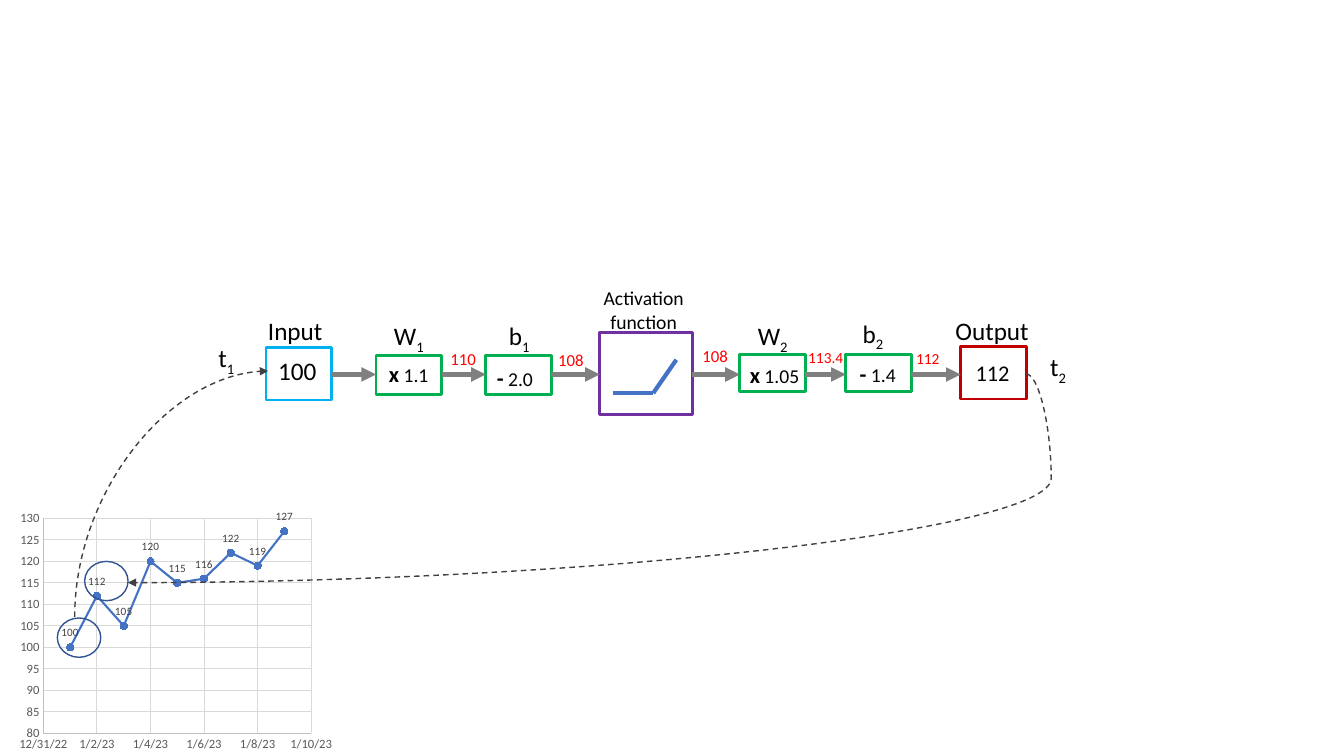
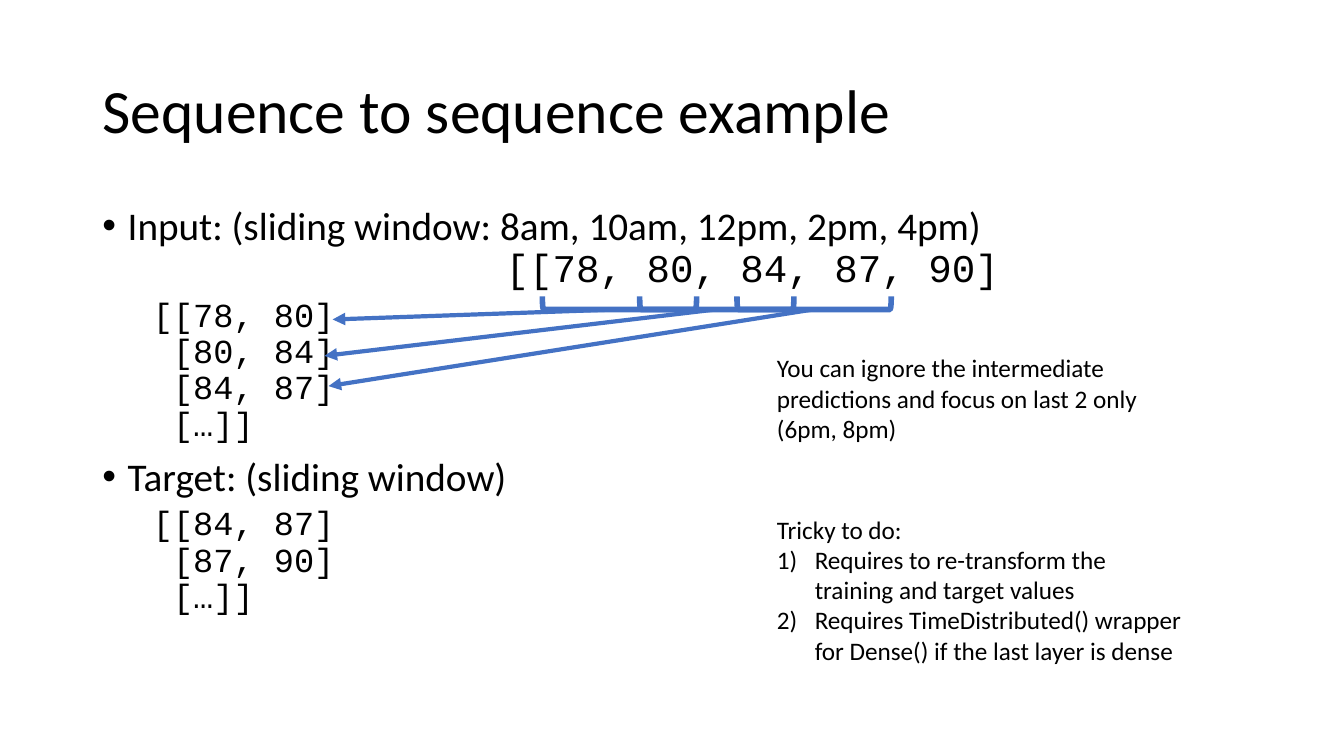
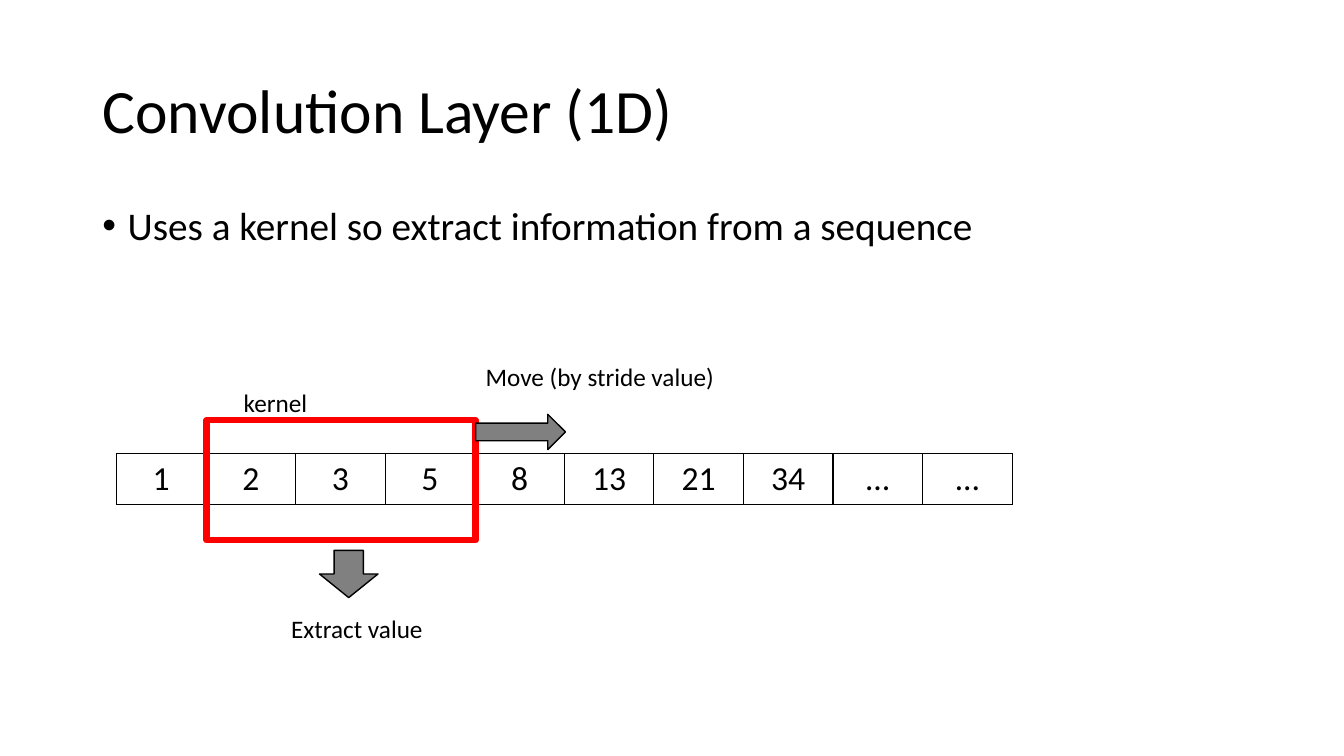
from lxml import etree
from pptx import Presentation
from pptx.chart.data import XyChartData
from pptx.chart.datalabel import DataLabels
from pptx.dml.color import RGBColor
from pptx.enum.chart import (XL_AXIS_CROSSES, XL_CHART_TYPE, XL_LABEL_POSITION,
                             XL_MARKER_STYLE, XL_TICK_MARK)
from pptx.enum.dml import MSO_LINE
from pptx.enum.shapes import MSO_CONNECTOR, MSO_SHAPE
from pptx.enum.text import MSO_ANCHOR, MSO_AUTO_SIZE, PP_ALIGN
from pptx.oxml.ns import qn
from pptx.util import Pt

RECT, OVAL = MSO_SHAPE.RECTANGLE, MSO_SHAPE.OVAL
BRACKET = MSO_SHAPE.RIGHT_BRACKET
RIGHT, DOWN = MSO_SHAPE.RIGHT_ARROW, MSO_SHAPE.DOWN_ARROW
LINE, CURVE = MSO_CONNECTOR.STRAIGHT, MSO_CONNECTOR.CURVE
LEFT, CENTER = PP_ALIGN.LEFT, PP_ALIGN.CENTER
MIDDLE = MSO_ANCHOR.MIDDLE
FIXED, GROW = MSO_AUTO_SIZE.NONE, MSO_AUTO_SIZE.SHAPE_TO_FIT_TEXT
DASH = MSO_LINE.DASH
SCATTER = XL_CHART_TYPE.XY_SCATTER_LINES
LOWEST, NO_TICK = XL_AXIS_CROSSES.MINIMUM, XL_TICK_MARK.NONE
DOT, ABOVE = XL_MARKER_STYLE.CIRCLE, XL_LABEL_POSITION.ABOVE

SANS, MONO = "Calibri", "Courier New"
HEX = {
    "black": "000000", "blue": "4472C4", "navy": "325491", "sky": "00B0F0",
    "green": "00B050", "plum": "7030A0", "brick": "C00000", "red": "FF0000",
    "gray": "808080", "dark": "404040", "tick": "595959", "axis": "BFBFBF",
    "grid": "D9D9D9",
}
TITLE_AT = (66, 28.8, 828, 104.4)
BODY_AT = (66, 144, 828, 342.7)


def rgb(name):
    """Return the named colour."""
    return RGBColor.from_string(HEX[name])


def style(font, size, color="black", face=SANS):
    """Set size, colour and typeface of a font."""
    font.size, font.name = Pt(size), face
    font.color.rgb = rgb(color)


def stroke(line, color, width):
    """Set colour and width of a line."""
    line.color.rgb = rgb(color)
    line.width = Pt(width)


def place(shape, at):
    """Move a shape to left, top, width, height."""
    shape.left, shape.top, shape.width, shape.height = map(Pt, at)


def bullet(para, left, hang, tag, **attrs):
    """Set the indents of a styled paragraph and its bullet."""
    props = para._p.get_or_add_pPr()
    props.set("marL", str(Pt(left)))
    props.set("indent", str(Pt(-hang)))
    mark = etree.Element(qn(tag), attrs)
    props.find(qn("a:defRPr")).addprevious(mark)


def shape(slide, kind, at, color, width, fill=None):
    """Add an outlined preset shape."""
    item = slide.shapes.add_shape(kind, *map(Pt, at))
    item.shadow.inherit = False
    stroke(item.line, color, width)
    if fill:
        item.fill.solid()
        item.fill.fore_color.rgb = rgb(fill)
    else:
        item.fill.background()
    return item


def link(slide, start, end, color, width, kind=LINE, head=True):
    """Add a connector, with an arrowhead at its end unless told not to."""
    item = slide.shapes.add_connector(kind, *map(Pt, start + end))
    stroke(item.line, color, width)
    props = item._element.spPr
    if head:
        etree.SubElement(props.find(qn("a:ln")), qn("a:tailEnd"),
                         type="triangle")
    etree.SubElement(props, qn("a:effectLst"))
    return item


def label(slide, at, lines, size=18, color="black", wrap=False, align=LEFT):
    """Add a text box with one paragraph a line; return the paragraphs."""
    frame = slide.shapes.add_textbox(*map(Pt, at)).text_frame
    frame.word_wrap = wrap
    frame.auto_size = GROW
    frame.text = "\n".join(lines)
    for para in frame.paragraphs:
        para.alignment = align
        style(para.font, size, color)
    return frame.paragraphs


def symbol(slide, left, top, width, base, index):
    """Add a symbol with a subscript."""
    para = label(slide, (left, top, width, 28.8), [base])[0]
    run = para.add_run()
    run.text = index
    run._r.get_or_add_rPr().set("baseline", "-25000")


def factor(slide, left, top, width, sign, value):
    """Add a bold sign followed by its value."""
    para = label(slide, (left, top, width, 26.6), [sign], 14, wrap=True)[0]
    para.runs[0].font.bold = True
    para.runs[0].font.size = Pt(16)
    para.add_run().text = " " + value


def page(deck, title):
    """Add a slide with a title; return it and its body frame."""
    slide = deck.slides.add_slide(deck.slide_layouts[1])
    head, body = slide.placeholders
    place(head, TITLE_AT)
    place(body, BODY_AT)
    for item in (head, body):
        item.text_frame.word_wrap = True
        item.text_frame.auto_size = FIXED
    head.text_frame.text = title
    head.text_frame.vertical_anchor = MIDDLE
    para = head.text_frame.paragraphs[0]
    para.alignment, para.line_spacing = LEFT, 0.9
    style(para.font, 44)
    return slide, body.text_frame


def entry(para, text, size=28, face=SANS, before=10):
    """Fill one paragraph of the body."""
    para.text = text
    para.line_spacing, para.space_before = 0.9, Pt(before)
    style(para.font, size, face=face)


def point(para, text):
    """Write a bulleted line."""
    entry(para, text)
    bullet(para, 18, 18, "a:buChar", char="•")


def code(para, text, left=36, size=24, before=5):
    """Write code lines without a bullet."""
    entry(para, text, size, MONO, before)
    bullet(para, left, 0, "a:buNone")


def scale(axis, low, high, step, form):
    """Set range, ticks and lines of a chart axis."""
    axis.minimum_scale, axis.maximum_scale, axis.major_unit = low, high, step
    axis.major_tick_mark = axis.minor_tick_mark = NO_TICK
    axis.crosses = LOWEST
    axis.has_major_gridlines = True
    stroke(axis.major_gridlines.format.line, "grid", 0.75)
    stroke(axis.format.line, "axis", 0.75)
    labels = axis.tick_labels
    labels.number_format, labels.number_format_is_linked = form, False
    style(labels.font, 9, "tick")


def inset(chart, **parts):
    """Fix the inner plot area as fractions of the chart."""
    area = chart._chartSpace.chart.plotArea
    for old in area.findall(qn("c:layout")):
        area.remove(old)
    layout = etree.Element(qn("c:layout"))
    area.insert(0, layout)
    manual = etree.SubElement(layout, qn("c:manualLayout"))
    pairs = {"layoutTarget": "inner", "xMode": "edge", "yMode": "edge", **parts}
    for tag, val in pairs.items():
        etree.SubElement(manual, qn("c:" + tag), val=str(val))


def trend(slide):
    """Add the chart of daily values."""
    first = 44927  # serial number of 1/1/23
    data = XyChartData()
    days = data.add_series("Series 1")
    for day, val in enumerate([100, 112, 105, 120, 115, 116, 122, 119, 127]):
        days.add_data_point(first + day, val)
    at = map(Pt, (10, 361.4, 233.3, 178.6))
    chart = slide.shapes.add_chart(SCATTER, *at, data).chart
    chart.has_title = chart.has_legend = False
    style(chart.font, 10)
    scale(chart.category_axis, first - 1, first + 9, 2, "m/d/yy")
    scale(chart.value_axis, 80, 130, 5, "0")
    inset(chart, x=0.09, y=0.05, w=0.82, h=0.86)
    plot = chart.plots[0]
    plot.vary_by_categories = False
    line = plot.series[0]
    stroke(line.format.line, "blue", 1.5)
    mark = line.marker
    mark.style, mark.size = DOT, 5
    mark.format.fill.solid()
    mark.format.fill.fore_color.rgb = rgb("blue")
    stroke(mark.format.line, "blue", 0.75)
    tags = DataLabels(line._element.get_or_add_dLbls())
    tags.show_value, tags.position = True, ABOVE
    style(tags.font, 8, "dark")


def loops(slide):
    """Add the dashed curves between the chart and the network."""
    rise = link(slide, (210.2, 421.9), (34.6, 283.7), "dark", 1, CURVE)
    rise._element.spPr.find(qn("a:xfrm")).set("rot", "5400000")
    rise._element.spPr.find(qn("a:prstGeom")).set("prst", "curvedConnector2")
    back = link(slide, (733, 267.1), (91.4, 416.2), "dark", 1, CURVE)
    geom = back._element.spPr.find(qn("a:prstGeom"))
    guides = geom.find(qn("a:avLst"))
    if guides is None:
        guides = etree.SubElement(geom, qn("a:avLst"))
    etree.SubElement(guides, qn("a:gd"), name="adj1", fmla="val -2800")
    for item in (rise, back):
        item.line.dash_style = DASH


def network(deck):
    """Build the slide that follows a value through the network."""
    slide = deck.slides.add_slide(deck.slide_layouts[6])
    trend(slide)
    boxes = [
        (190, 248.4, 46.8, 37.4, "sky"),
        (268.6, 254.2, 46.8, 27.4, "green"),
        (347, 254.2, 46.8, 27.4, "green"),
        (428.4, 237.6, 66.2, 58.3, "plum"),
        (528.5, 253.4, 46.8, 26.6, "green"),
        (604.1, 253.4, 46.8, 26.6, "green"),
        (686.2, 247.7, 46.8, 37.4, "brick"),
    ]
    for *at, color in boxes:
        shape(slide, RECT, at, color, 2)
    for one, two in zip(boxes, boxes[1:]):
        link(slide, (one[0] + one[2], 267.5), (two[0], 267.5), "gray", 3.5)
    for start in ((437.8, 280.8), (483.1, 257)):
        link(slide, start, (466.6, 280.8), "blue", 3, head=False)
    for spot in [
        (274.3, 225.4, 36.7, "W", "1"), (356.4, 225.4, 30.2, "b", "1"),
        (534.2, 225.4, 36.7, "W", "2"), (609.1, 223.9, 30.2, "b", "2"),
        (149, 241.2, 26.6, "t", "1"), (743, 247.7, 26.6, "t", "2"),
    ]:
        symbol(slide, *spot)
    for spot in [
        (270.7, 253.4, 46.1, "x", "1.1"), (347.8, 256.3, 46.1, "-", "2.0"),
        (528.5, 254.2, 49.7, "x", "1.05"), (607, 253.4, 46.1, "-", "1.4"),
    ]:
        factor(slide, *spot)
    for left, top, width, text, size in [
        (314.6, 245.5, 33.1, "110", 12), (391.7, 246.2, 33.1, "108", 12),
        (494.6, 243.4, 33.1, "108", 12), (570.2, 244.8, 40.3, "113.4", 11),
        (647.3, 245.5, 31.7, "112", 11),
    ]:
        label(slide, (left, top, width, 21.6), [text], size, "red")
    label(slide, (184.3, 221.8, 54, 28.8), ["Input"])
    label(slide, (675.4, 221.8, 67.7, 28.8), ["Output"])
    label(slide, (191.5, 250.6, 44.6, 28.8), ["100"], wrap=True)
    label(slide, (689.8, 252.7, 38.9, 26.6), ["112"], 16)
    label(slide, (423.4, 200.9, 72.7, 41), ["Activation", "function"], 14,
          align=CENTER)
    loops(slide)
    for left, top in ((41, 441.4), (60.5, 401)):
        shape(slide, OVAL, (left, top, 31, 28.1), "navy", 1)


def sequence(deck):
    """Build the slide about sliding windows."""
    slide, body = page(deck, "Sequence to sequence example")
    point(body.paragraphs[0],
          "Input: (sliding window: 8am, 10am, 12pm, 2pm, 4pm)")
    code(body.add_paragraph(), "[[78, 80, 84, 87, 90]", 288, 28, 0)
    for text, head in [
        ("[[78, 80]\v [80, 84]\v [84, 87]\v […]]", "Target: (sliding window)"),
        ("[[84, 87]\v [87, 90]\v […]]", None),
    ]:
        para = body.add_paragraph()
        para.level = 1
        code(para, text)
        if head:
            point(body.add_paragraph(), head)
    label(slide, (547.9, 248.4, 304.6, 72.7),
          ["You can ignore the intermediate predictions and focus on last 2 "
           "only (6pm, 8pm)"], wrap=True)
    steps = label(slide, (547.9, 363.6, 304.6, 116.6), [
        "Tricky to do:",
        "Requires to re-transform the training and target values",
        "Requires TimeDistributed() wrapper for Dense() if the last layer "
        "is dense"], wrap=True)
    for para in steps[1:]:
        bullet(para, 27, 27, "a:buAutoNum", type="arabicParenR")
    ends = [(237.6, 228.2), (231.8, 254.2), (234.7, 275.8)]
    for num, end in enumerate(ends):
        left = 437.8 + 69.5 * num
        span = shape(slide, BRACKET, (left, 161.3, 9.4, 110.2), "blue", 4)
        span.rotation = 90
        link(slide, (left + 4.5, 221), end, "blue", 3)


def frame(cell):
    """Give a table cell black borders and no fill."""
    props = cell._tc.get_or_add_tcPr()
    for side in "LRTB":
        edge = etree.SubElement(props, qn("a:ln" + side), w=str(Pt(1)))
        fill = etree.SubElement(edge, qn("a:solidFill"))
        etree.SubElement(fill, qn("a:srgbClr"), val=HEX["black"])
    cell.fill.background()


def strip(slide, vals, at):
    """Add a one-row table of equal cells."""
    table = slide.shapes.add_table(1, len(vals), *map(Pt, at)).table
    table.first_row = table.horz_banding = False
    for cell, text in zip(table.rows[0].cells, vals):
        cell.text = text
        para = cell.text_frame.paragraphs[0]
        para.alignment = CENTER
        style(para.font, 24)
        frame(cell)


def kernel(deck):
    """Build the slide about the convolution kernel."""
    slide, body = page(deck, "Convolution Layer (1D)")
    point(body.paragraphs[0],
          "Uses a kernel so extract information from a sequence")
    vals = ["1", "2", "3", "5", "8", "13", "21", "34", "…", "…"]
    strip(slide, vals, (83.2, 324, 640, 36))
    shape(slide, RECT, (147.6, 300.2, 192.2, 85.7), "red", 4.5)
    shape(slide, RIGHT, (339.8, 295.9, 64.1, 25.2), "black", 1, "gray")
    shape(slide, DOWN, (228.2, 393.1, 41.8, 33.8), "black", 1, "gray")
    for left, top, width, text in [
        (167, 272.9, 82.8, "kernel"),
        (339.8, 254.2, 215.3, "Move (by stride value)"),
        (200.9, 434.9, 121, "Extract value"),
    ]:
        label(slide, (left, top, width, 28.8), [text], wrap=True)


def main():
    """Build and save the deck."""
    deck = Presentation()
    deck.slide_width, deck.slide_height = Pt(960), Pt(540)
    network(deck)
    sequence(deck)
    kernel(deck)
    deck.save("out.pptx")


main()
